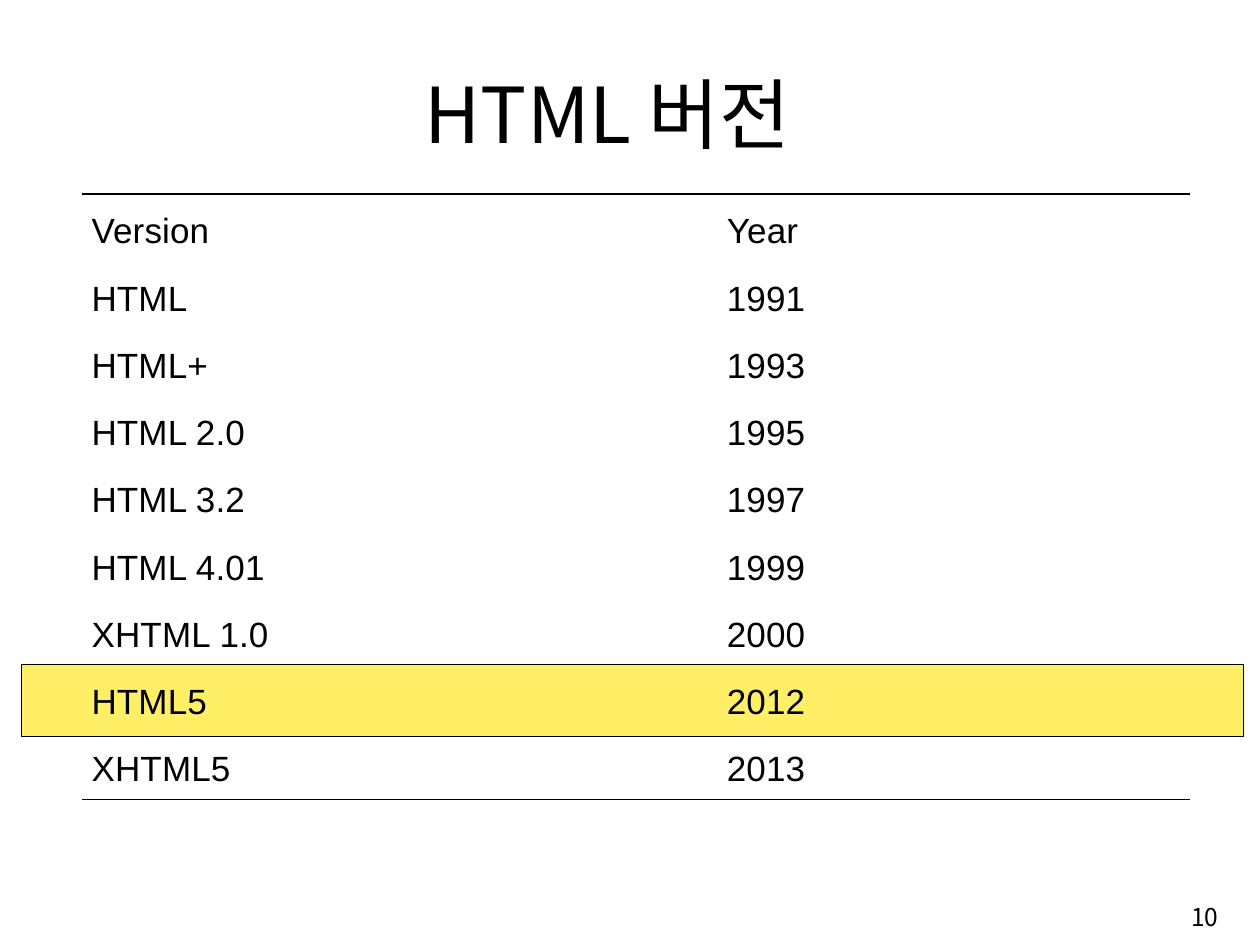
import pptx
import pptx.util
import pptx.dml.color
import pptx.enum.shapes
import pptx.enum.text
import pptx.oxml
import pptx.oxml.ns

Pt = pptx.util.Pt
ALIGN = pptx.enum.text.PP_ALIGN
ANCHOR = pptx.enum.text.MSO_ANCHOR
KOREAN = "Noto Sans CJK KR"


def color(value):
    return pptx.dml.color.RGBColor.from_string(value)


def write(tf, text, size, font, align):
    p = tf.paragraphs[0]
    r = p.add_run()
    r.text = text
    p.alignment = align
    p.font.size = Pt(size)
    p.font.name = font
    p.font.color.rgb = color("000000")
    # East Asian typeface for the Hangul
    rPr = r._r.get_or_add_rPr()
    ea = rPr.makeelement(pptx.oxml.ns.qn("a:ea"), {"typeface": font})
    rPr.append(ea)
    return p


prs = pptx.Presentation()
prs.slide_width = Pt(935.28)
prs.slide_height = Pt(701.28)
s = prs.slides.add_slide(prs.slide_layouts[5])

# Title
title = s.shapes.title
title.left, title.top, title.width, title.height = Pt(75.6), Pt(43.92), Pt(763.92), Pt(77.76)
tf = title.text_frame
tf.auto_size = pptx.enum.text.MSO_AUTO_SIZE.NONE
tf.vertical_anchor = ANCHOR.BOTTOM
write(tf, "HTML 버전 ", 57.2, KOREAN, ALIGN.CENTER)

# Highlight bar behind the HTML5 row
bar = s.shapes.add_shape(pptx.enum.shapes.MSO_SHAPE.RECTANGLE, Pt(15.84), Pt(493.2), Pt(907.2), Pt(53.28))
bar.shadow.inherit = False
bar.fill.solid()
bar.fill.fore_color.rgb = color("FFEF66")
bar.line.color.rgb = color("000000")
bar.line.width = Pt(0.75)
s.shapes._spTree.remove(bar._element)
s.shapes._spTree.insert(2, bar._element)

# Version table
versions = [
    ("Version", "Year"),
    ("HTML", "1991"),
    ("HTML+", "1993"),
    ("HTML 2.0", "1995"),
    ("HTML 3.2", "1997"),
    ("HTML 4.01", "1999"),
    ("XHTML 1.0", "2000"),
    ("HTML5", "2012"),
    ("XHTML5", "2013"),
]
last = len(versions) - 1
table = s.shapes.add_table(len(versions), 2, Pt(61.2), Pt(144), Pt(822.24), Pt(449.28)).table
table.first_row = False
table.horz_banding = False
table.columns[0].width = Pt(471.6)
table.columns[1].width = Pt(350.64)

for i, version in enumerate(versions):
    table.rows[i].height = Pt(49.92)
    for j, text in enumerate(version):
        cell = table.cell(i, j)
        cell.fill.background()
        cell.vertical_anchor = ANCHOR.MIDDLE
        cell.margin_left = cell.margin_right = Pt(6.75)
        cell.margin_top = cell.margin_bottom = Pt(2.25)
        p = write(cell.text_frame, text, 26, "Arial", ALIGN.JUSTIFY)
        p.line_spacing = 1.2
        p.runs[0]._r.get_or_add_rPr().set("spc", "10")

        # Rules only above the first row and below the last
        ruled = {"lnT": i == 0, "lnB": i == last}
        tcPr = cell._tc.get_or_add_tcPr()
        for k, side in enumerate(("lnL", "lnR", "lnT", "lnB")):
            paint = '<a:solidFill><a:srgbClr val="000000"/></a:solidFill>' if ruled.get(side) else "<a:noFill/>"
            ln = f'<a:{side} {pptx.oxml.ns.nsdecls("a")} w="12700">{paint}</a:{side}>'
            tcPr.insert(k, pptx.oxml.parse_xml(ln))

# Page number
number = s.shapes.add_textbox(Pt(718.56), Pt(658.8), Pt(192.96), Pt(43.2))
tf = number.text_frame
tf.word_wrap = True
tf.vertical_anchor = ANCHOR.MIDDLE
write(tf, "10", 18.2, KOREAN, ALIGN.RIGHT)

prs.save("out.pptx")
